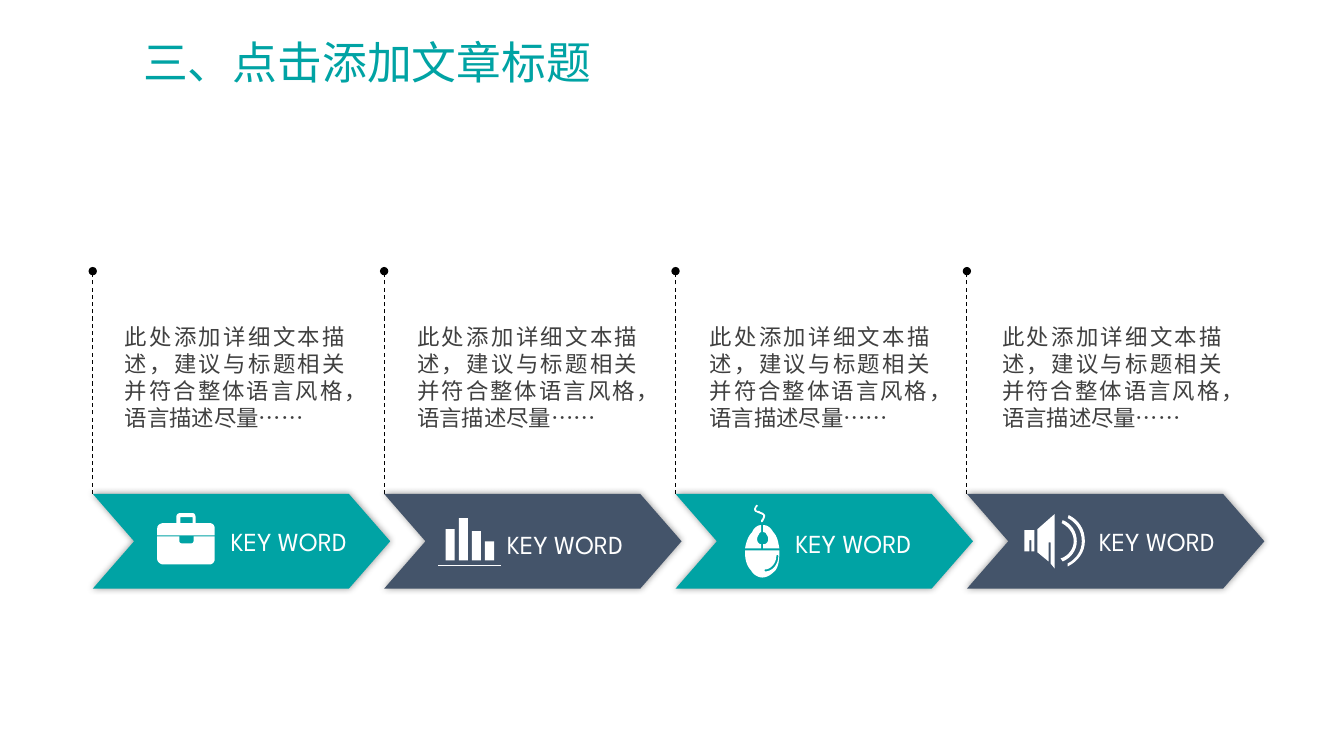
from dataclasses import dataclass

from lxml import etree
from pptx import Presentation
from pptx.dml.color import RGBColor
from pptx.enum.dml import MSO_LINE
from pptx.enum.shapes import MSO_CONNECTOR, MSO_SHAPE
from pptx.enum.text import MSO_AUTO_SIZE, PP_ALIGN
from pptx.oxml.ns import qn
from pptx.util import Inches, Pt

DASH = MSO_LINE.DASH
LINE = MSO_CONNECTOR.STRAIGHT
CHEVRON, RECT = MSO_SHAPE.CHEVRON, MSO_SHAPE.RECTANGLE
FIT = MSO_AUTO_SIZE.SHAPE_TO_FIT_TEXT
LEFT, JUSTIFY = PP_ALIGN.LEFT, PP_ALIGN.JUSTIFY

FONT = "League Spartan"
COLORS = {"teal": "00A3A4", "slate": "44546A", "white": "FFFFFF",
          "gray": "404040", "black": "000000"}
BODY = "此处添加详细文本描述，建议与标题相关并符合整体语言风格，语言描述尽量……"
ARROW_X, ARROW_Y, PITCH = 0.92, 4.9, 2.89
ARROW_W, ARROW_H, NOTCH = 2.95, 0.94, 0.41
BODY_X, BODY_GAP = 1.14, 2.9
CURVE_STEPS = 8

Point = tuple[float, float]


@dataclass
class Bar:
    left: float
    top: float
    width: float
    height: float


@dataclass
class Step:
    color: str
    label: Point
    icon: list[str]  # outlines: "x,y" is a corner, "C" starts a curve, "|" a new contour
    bars: list[Bar]


# Icons
CASE = [
    "1.92,5.32 1.92,5.37 C 1.92,5.38 1.91,5.39 1.9,5.39 1.8,5.39 C 1.79,5.39 1.78,5.38 1.78,5.37 "
    "1.78,5.32 1.56,5.32 1.56,5.55 C 1.56,5.57 1.59,5.6 1.62,5.6 2.08,5.6 "
    "C 2.11,5.6 2.13,5.57 2.13,5.55 2.13,5.32",
    "2.08,5.19 1.94,5.19 1.94,5.13 C 1.94,5.11 1.93,5.09 1.91,5.09 1.79,5.09 "
    "C 1.76,5.09 1.75,5.11 1.75,5.13 1.75,5.19 1.62,5.19 C 1.59,5.19 1.56,5.21 1.56,5.24 "
    "1.56,5.31 2.13,5.31 2.13,5.24 C 2.13,5.21 2.11,5.19 2.08,5.19 "
    "| 1.79,5.13 1.91,5.13 1.91,5.19 1.79,5.19",
]
AXIS = ["4.34,5.61 4.97,5.61 4.97,5.62 4.34,5.62"]
MOUSE = [
    "7.6,5.3 C 7.61,5.31 7.62,5.33 7.62,5.35 C 7.62,5.38 7.6,5.4 7.57,5.4 7.57,5.44 7.73,5.44 "
    "C 7.72,5.38 7.71,5.32 7.67,5.28 C 7.64,5.23 7.61,5.21 7.57,5.21 7.57,5.28 "
    "C 7.59,5.28 7.6,5.29 7.6,5.3",
    "7.51,5.35 C 7.51,5.33 7.52,5.31 7.53,5.3 C 7.53,5.29 7.54,5.28 7.55,5.28 7.55,5.21 "
    "C 7.52,5.21 7.48,5.23 7.46,5.28 C 7.42,5.32 7.4,5.38 7.39,5.44 7.55,5.44 7.55,5.4 "
    "C 7.53,5.4 7.51,5.38 7.51,5.35",
    "7.39,5.46 C 7.39,5.47 7.39,5.48 7.39,5.49 C 7.39,5.56 7.41,5.62 7.45,5.66 "
    "C 7.47,5.7 7.52,5.73 7.56,5.73 C 7.61,5.73 7.65,5.7 7.69,5.66 "
    "C 7.72,5.62 7.73,5.56 7.73,5.49 7.73,5.46 "
    "| 7.59,5.67 C 7.58,5.67 7.58,5.65 7.59,5.65 C 7.64,5.65 7.7,5.59 7.7,5.52 "
    "C 7.7,5.5 7.72,5.5 7.72,5.52 C 7.72,5.6 7.66,5.67 7.59,5.67",
    "7.5,5.08 C 7.52,5.09 7.54,5.1 7.55,5.1 C 7.55,5.1 7.56,5.11 7.57,5.11 "
    "C 7.57,5.12 7.57,5.14 7.55,5.16 7.55,5.18 7.56,5.18 7.57,5.17 "
    "C 7.58,5.15 7.59,5.13 7.59,5.11 C 7.59,5.11 7.58,5.1 7.57,5.09 "
    "C 7.55,5.08 7.54,5.08 7.53,5.07 7.51,5.07 C 7.5,5.06 7.5,5.06 7.5,5.05 "
    "C 7.5,5.04 7.5,5.03 7.52,5.02 7.51,5.01 7.5,5.01 C 7.49,5.03 7.48,5.04 7.48,5.05 "
    "C 7.48,5.07 7.49,5.08 7.5,5.08",
]
SPEAKER = [
    "10.73,5.37 C 10.73,5.26 10.67,5.18 10.59,5.14 10.6,5.11 C 10.7,5.16 10.76,5.25 10.76,5.37 "
    "C 10.76,5.48 10.69,5.57 10.59,5.62 10.59,5.59 C 10.67,5.55 10.73,5.47 10.73,5.37",
    "10.65,5.37 C 10.65,5.28 10.59,5.22 10.53,5.19 10.54,5.16 C 10.62,5.19 10.68,5.27 10.68,5.37 "
    "C 10.68,5.46 10.62,5.54 10.54,5.57 10.52,5.54 C 10.59,5.52 10.65,5.45 10.65,5.37",
    "10.29,5.25 10.29,5.48 10.4,5.57 10.4,5.38 10.42,5.38 10.42,5.59 10.46,5.64 10.46,5.1",
    "10.16,5.26 10.16,5.47 10.21,5.47 10.21,5.36 10.23,5.36 10.23,5.47 10.26,5.47 10.26,5.26",
]
BARS = [Bar(4.42 + 0.13 * i, 5.56 - high, 0.09, high)
        for i, high in enumerate((0.31, 0.42, 0.29, 0.19))]
STEPS = [
    Step("teal", (2.19, 5.16), CASE, []),
    Step("slate", (4.93, 5.19), AXIS, BARS),
    Step("teal", (7.79, 5.18), MOUSE, []),
    Step("slate", (10.8, 5.16), SPEAKER, []),
]


def paint(shape, color: str) -> None:
    shape.fill.solid()
    shape.fill.fore_color.rgb = RGBColor.from_string(COLORS[color])
    shape.line.fill.background()
    shape.shadow.inherit = False


def write(shapes, text: str, box: Bar, size: float, color: str,
          wrap: bool = False, align=LEFT) -> None:
    frame = shapes.add_textbox(Inches(box.left), Inches(box.top),
                               Inches(box.width), Inches(box.height)).text_frame
    frame.word_wrap = wrap
    frame.auto_size = FIT
    para = frame.paragraphs[0]
    para.text = text
    para.alignment = align
    para.font.size = Pt(size)
    para.font.name = FONT
    para.font.color.rgb = RGBColor.from_string(COLORS[color])


def bend(knots: list[Point]) -> list[Point]:
    """Points along a cubic curve, after its first knot."""
    points = []
    for i in range(1, CURVE_STEPS + 1):
        t = i / CURVE_STEPS
        parts = ((1 - t) ** 3, 3 * t * (1 - t) ** 2, 3 * t * t * (1 - t), t ** 3)
        points.append((sum(p * k[0] for p, k in zip(parts, knots)),
                       sum(p * k[1] for p, k in zip(parts, knots))))
    return points


def trace(contour: str) -> list[Point]:
    points: list[Point] = []
    marks = iter(contour.split())
    for mark in marks:
        if mark == "C":
            points += bend([points[-1]] + [pair(next(marks)) for _ in range(3)])
        else:
            points.append(pair(mark))
    return points


def pair(mark: str) -> Point:
    x, y = mark.split(",")
    return float(x), float(y)


def draw_icon(shapes, outline: str) -> None:
    first, *others = [[(Inches(x), Inches(y)) for x, y in trace(part)]
                      for part in outline.split("|")]
    pen = shapes.build_freeform(*first[0])
    pen.add_line_segments(first[1:])
    for hole in others:
        pen.move_to(*hole[0])
        pen.add_line_segments(hole[1:])
    paint(pen.convert_to_shape(), "white")


def add_glow(shape) -> None:
    effects = shape._element.spPr.find(qn("a:effectLst"))
    outer = etree.SubElement(effects, qn("a:outerShdw"), blurRad=str(Pt(5)), dist="0", dir="0")
    tint = etree.SubElement(outer, qn("a:srgbClr"), val=COLORS["black"])
    etree.SubElement(tint, qn("a:alpha"), val="40000")


def draw_stem(shapes, x: float) -> None:
    stem = shapes.add_connector(LINE, Inches(x), Inches(ARROW_Y), Inches(x), Inches(2.69))
    stem.line.color.rgb = RGBColor.from_string(COLORS["black"])
    stem.line.width = Pt(0.75)
    stem.line.dash_style = DASH
    etree.SubElement(stem.line._get_or_add_ln(), qn("a:tailEnd"), type="oval")
    etree.SubElement(stem._element.spPr, qn("a:effectLst"))


def draw_step(shapes, step: Step, x: float) -> None:
    arrow = shapes.add_shape(CHEVRON, Inches(x), Inches(ARROW_Y),
                             Inches(ARROW_W), Inches(ARROW_H))
    arrow.adjustments[0] = NOTCH / ARROW_H
    paint(arrow, step.color)
    add_glow(arrow)
    for outline in step.icon:
        draw_icon(shapes, outline)
    for bar in step.bars:
        paint(shapes.add_shape(RECT, Inches(bar.left), Inches(bar.top),
                               Inches(bar.width), Inches(bar.height)), "white")
    write(shapes, "KEY WORD", Bar(*step.label, 1.56, 0.41), 18.6, "white")


def main() -> None:
    deck = Presentation()
    deck.slide_width, deck.slide_height = Inches(13.33), Inches(7.5)
    shapes = deck.slides.add_slide(deck.slide_layouts[6]).shapes

    # Title
    write(shapes, "三、点击添加文章标题", Bar(1.32, 0.3, 4.69, 0.64), 32, "teal")

    # Stems stand behind the arrows
    for i in range(len(STEPS)):
        draw_stem(shapes, ARROW_X + PITCH * i)

    # Arrows overlap from right to left
    for i, step in reversed(list(enumerate(STEPS))):
        draw_step(shapes.add_group_shape().shapes, step, ARROW_X + PITCH * i)

    # Descriptions
    for i in range(len(STEPS)):
        write(shapes, BODY, Bar(BODY_X + BODY_GAP * i, 3.16, 2.38, 1.18), 16, "gray",
              wrap=True, align=JUSTIFY)

    deck.save("out.pptx")


if __name__ == "__main__":
    main()
